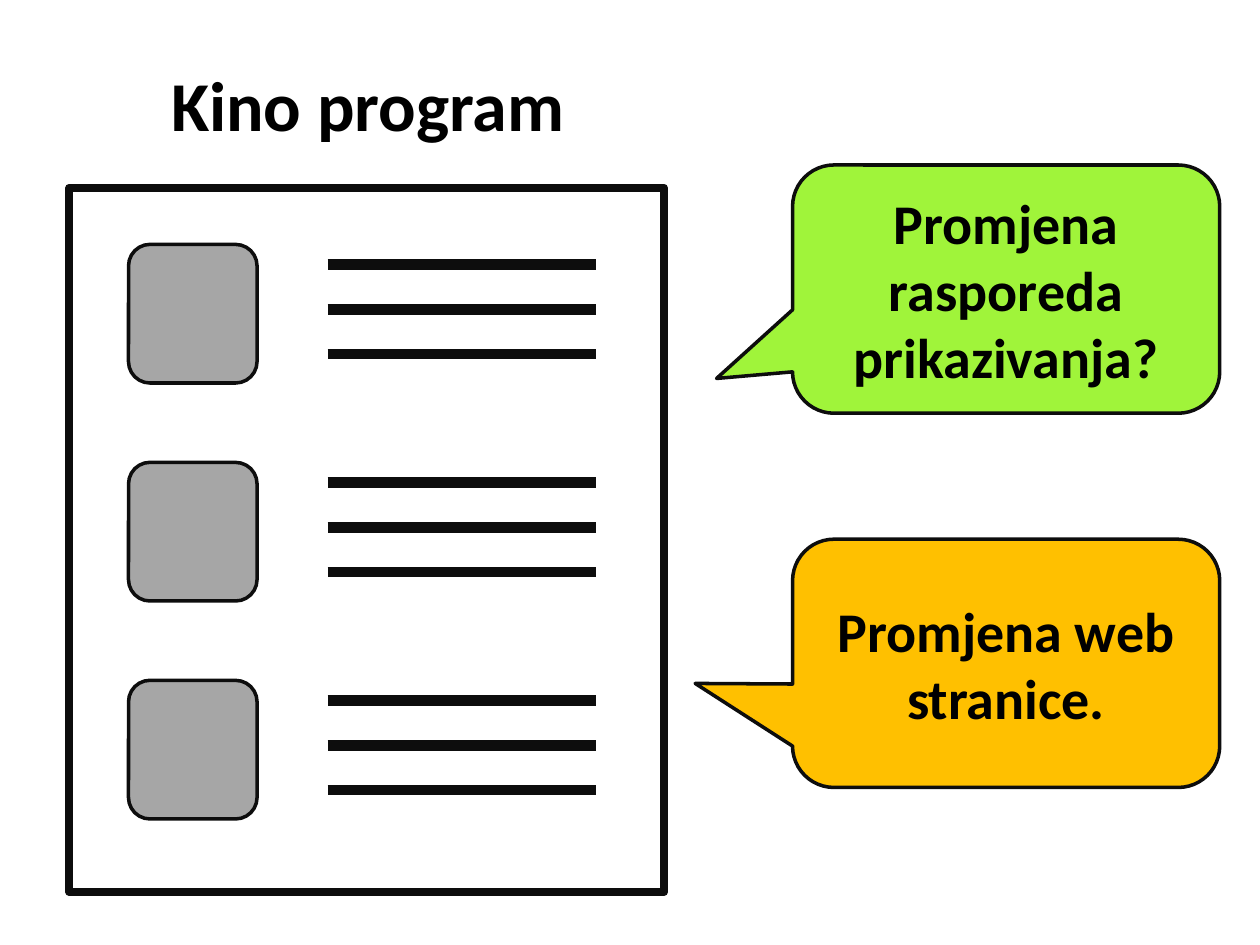
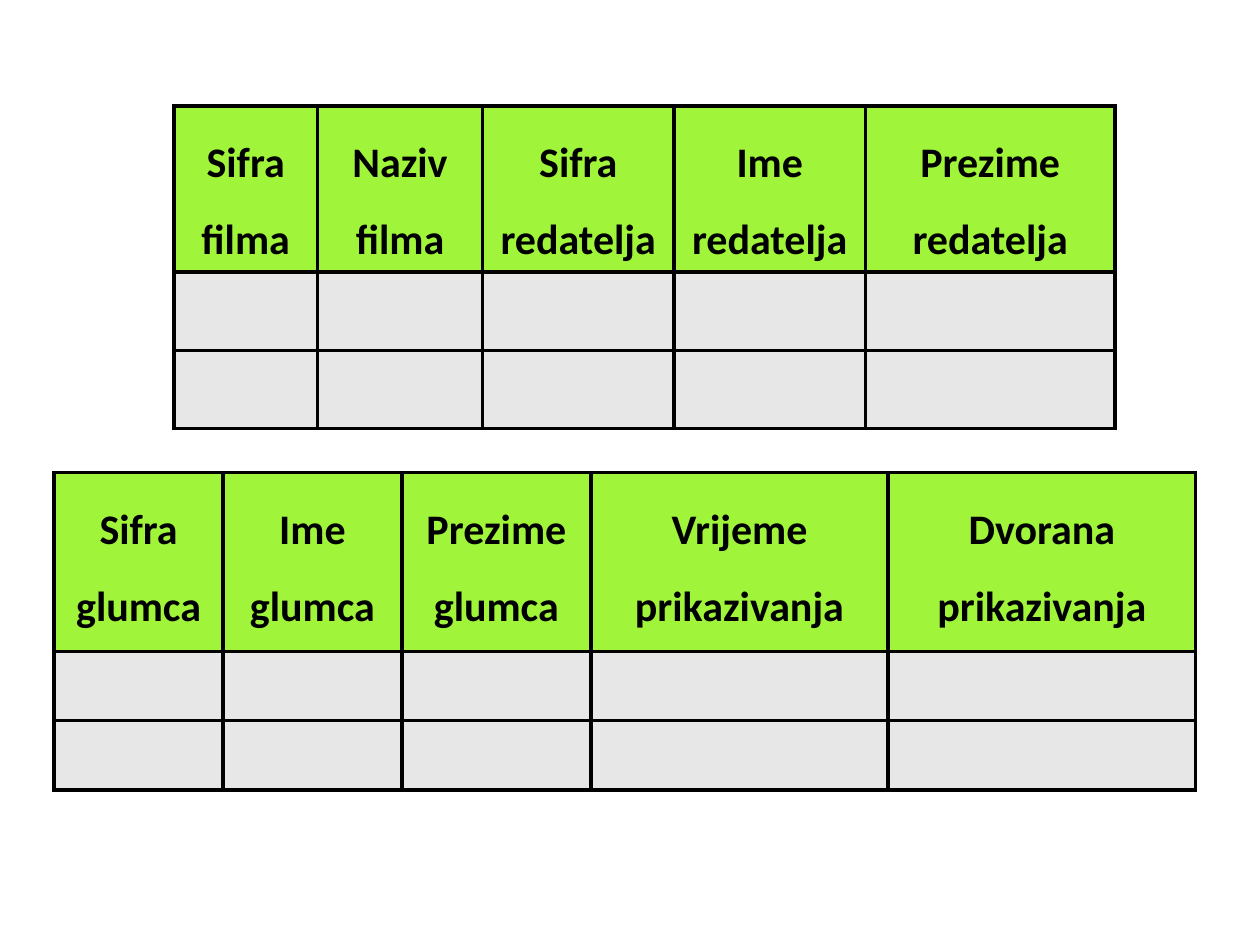
from pptx import Presentation
from pptx.dml.color import RGBColor
from pptx.enum.shapes import MSO_CONNECTOR as Connector, MSO_SHAPE as Shape
from pptx.enum.text import MSO_ANCHOR as Anchor, PP_ALIGN as Align
from pptx.oxml import parse_xml
from pptx.oxml.ns import nsdecls
from pptx.util import Inches, Pt

BLACK, INK, GREY, PALE = "000000", "0D0D0D", "A6A6A6", "E7E7E7"
GREEN, AMBER = "A0F43A", "FFC000"


def color(hex_value):
    """Turn a hex string into a colour."""
    return RGBColor.from_string(hex_value)


class Deck:
    """Holds the shared style and the current slide."""

    font = "Calibri"
    border = 2.25

    def __init__(self, width, height):
        """Start a presentation of the given size in inches."""
        self.prs = Presentation()
        self.prs.slide_width, self.prs.slide_height = Inches(width), Inches(height)

    def new_slide(self):
        """Add a blank slide and make it current."""
        self.shapes = self.prs.slides.add_slide(self.prs.slide_layouts[6]).shapes

    def style(self, paragraph, size, align=None):
        """Apply the bold black lettering."""
        paragraph.alignment = align
        font = paragraph.font
        font.name, font.size, font.bold = self.font, Pt(size), True
        font.color.rgb = color(BLACK)

    def title(self, text, *place):
        """Add a one-line heading."""
        frame = self.shapes.add_textbox(*map(Inches, place)).text_frame
        frame.word_wrap = False
        frame.text = text
        self.style(frame.paragraphs[0], 40)

    def box(self, kind, place, fill=None, width=2):
        """Add an outlined shape, hollow when no fill is given."""
        outline = self.shapes.add_shape(kind, *map(Inches, place))
        outline.shadow.inherit = False
        if fill:
            outline.fill.solid()
            outline.fill.fore_color.rgb = color(fill)
        else:
            outline.fill.background()
        outline.line.color.rgb = color(INK)
        outline.line.width = Pt(width)
        return outline

    def callout(self, text, place, fill, tip):
        """Add a speech bubble whose tail ends at the relative tip."""
        bubble = self.box(Shape.ROUNDED_RECTANGULAR_CALLOUT, place, fill)
        for index, value in enumerate((*tip, 0.167)):
            bubble.adjustments[index] = value
        frame = bubble.text_frame
        frame.word_wrap = True
        frame.vertical_anchor = Anchor.MIDDLE
        frame.text = text
        self.style(frame.paragraphs[0], 32, Align.CENTER)

    def rule(self, left, right, y):
        """Add a thick horizontal line."""
        stroke = self.shapes.add_connector(
            Connector.STRAIGHT, Inches(left), Inches(y), Inches(right), Inches(y))
        stroke.line.color.rgb = color(INK)
        stroke.line.width = Pt(6)
        properties = stroke.line._get_or_add_ln().getparent()
        properties.append(parse_xml(f"<a:effectLst {nsdecls('a')}/>"))

    def cell(self, cell, fill):
        """Border and fill one table cell."""
        for side in "LRTB":
            cell._tc.get_or_add_tcPr().append(parse_xml(
                f'<a:ln{side} {nsdecls("a")} w="{Pt(self.border)}"><a:solidFill>'
                f'<a:srgbClr val="{BLACK}"/></a:solidFill></a:ln{side}>'))
        cell.fill.solid()
        cell.fill.fore_color.rgb = color(fill)

    def table(self, left, top, headings, widths, heights):
        """Add a table with a green heading row over empty rows."""
        grid = self.shapes.add_table(
            len(heights), len(widths), Inches(left), Inches(top),
            Inches(sum(widths)), Inches(sum(heights))).table
        for column, width in zip(grid.columns, widths):
            column.width = Inches(width)
        for number, height in enumerate(heights):
            grid.rows[number].height = Inches(height)
            for cell in grid.rows[number].cells:
                self.cell(cell, PALE if number else GREEN)
        for cell, heading in zip(grid.rows[0].cells, headings):
            cell.text = heading
            for paragraph in cell.text_frame.paragraphs:
                paragraph.line_spacing = 1.5
                self.style(paragraph, 24, Align.CENTER)


def cinema_program(deck):
    """Draw the programme page and the two remarks beside it."""
    deck.new_slide()
    for film in range(3):
        top = 1.94 + film * 1.73
        deck.box(Shape.ROUNDED_RECTANGLE, (1.02, top, 1.02, 1.1), GREY)
        for row in range(3):
            deck.rule(2.6, 4.73, top + 0.16 + row * 0.355)
    deck.box(Shape.RECTANGLE, (0.55, 1.49, 4.72, 5.59), width=4.5)
    deck.title("Kino program", 1.26, 0.44, 3.36, 0.77)
    remarks = (
        ("Promjena rasporeda prikazivanja?", 1.31, GREEN, (-0.678, 0.36)),
        ("Promjena web stranice.", 4.28, AMBER, (-0.728, 0.081)),
    )
    for text, top, fill, tip in remarks:
        deck.callout(text, (6.29, top, 3.39, 1.97), fill, tip)


def data_tables(deck):
    """Draw the film table and the showing table."""
    deck.new_slide()
    deck.table(
        1.38, 0.84,
        ("Sifra filma", "Naziv filma", "Sifra redatelja", "Ime redatelja",
         "Prezime redatelja"),
        (1.14, 1.31, 1.52, 1.52, 1.98), (1.06, 0.62, 0.62))
    deck.table(
        0.43, 3.75,
        ("Sifra glumca", "Ime glumca", "Prezime glumca", "Vrijeme prikazivanja",
         "Dvorana\nprikazivanja"),
        (1.34, 1.42, 1.5, 2.36, 2.44), (1.42, 0.55, 0.55))


def main():
    """Build and save the slides."""
    deck = Deck(10, 7.5)
    cinema_program(deck)
    data_tables(deck)
    deck.prs.save("out.pptx")


if __name__ == "__main__":
    main()
